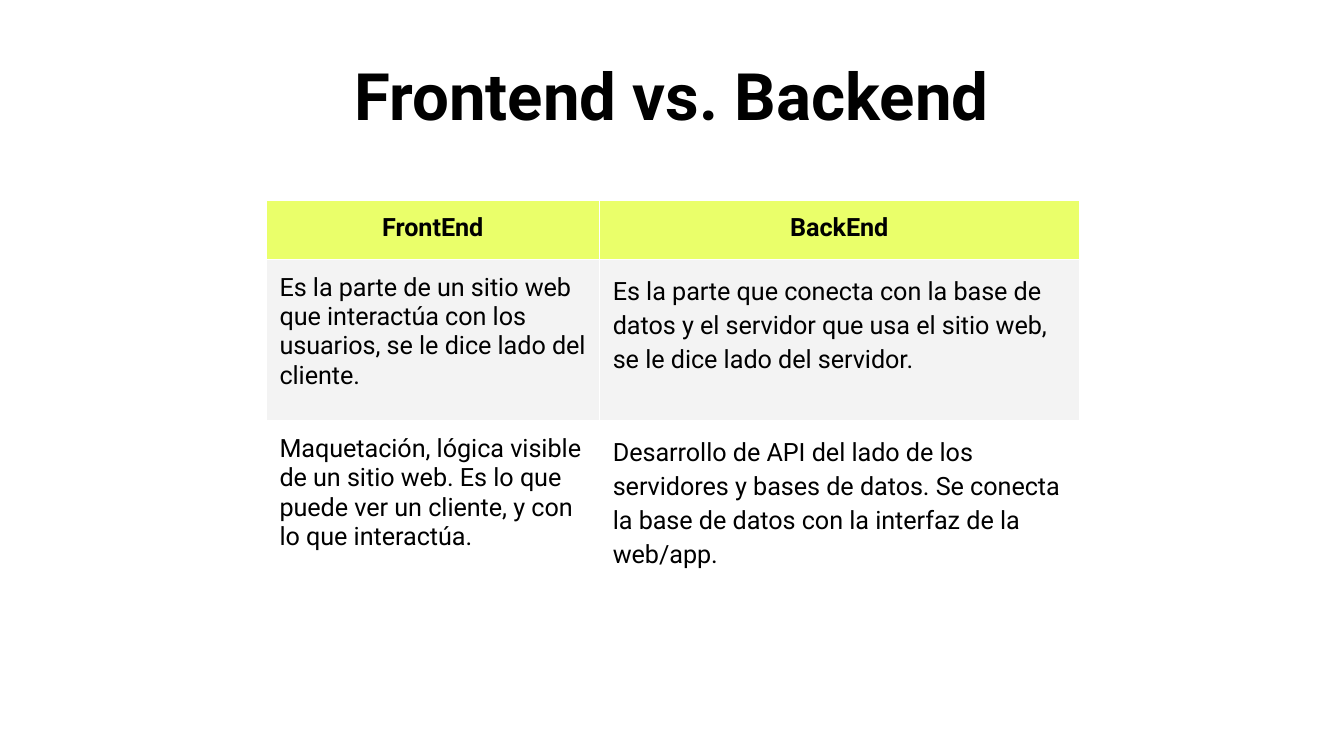
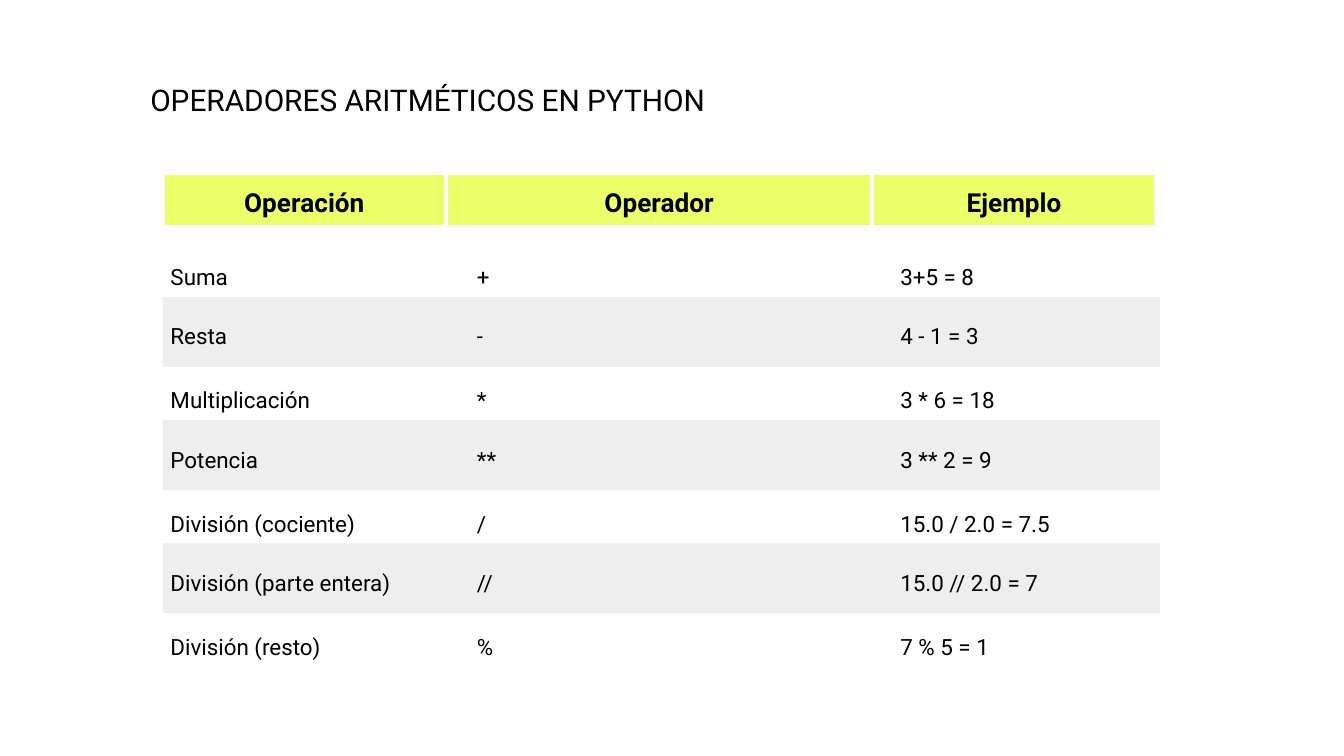
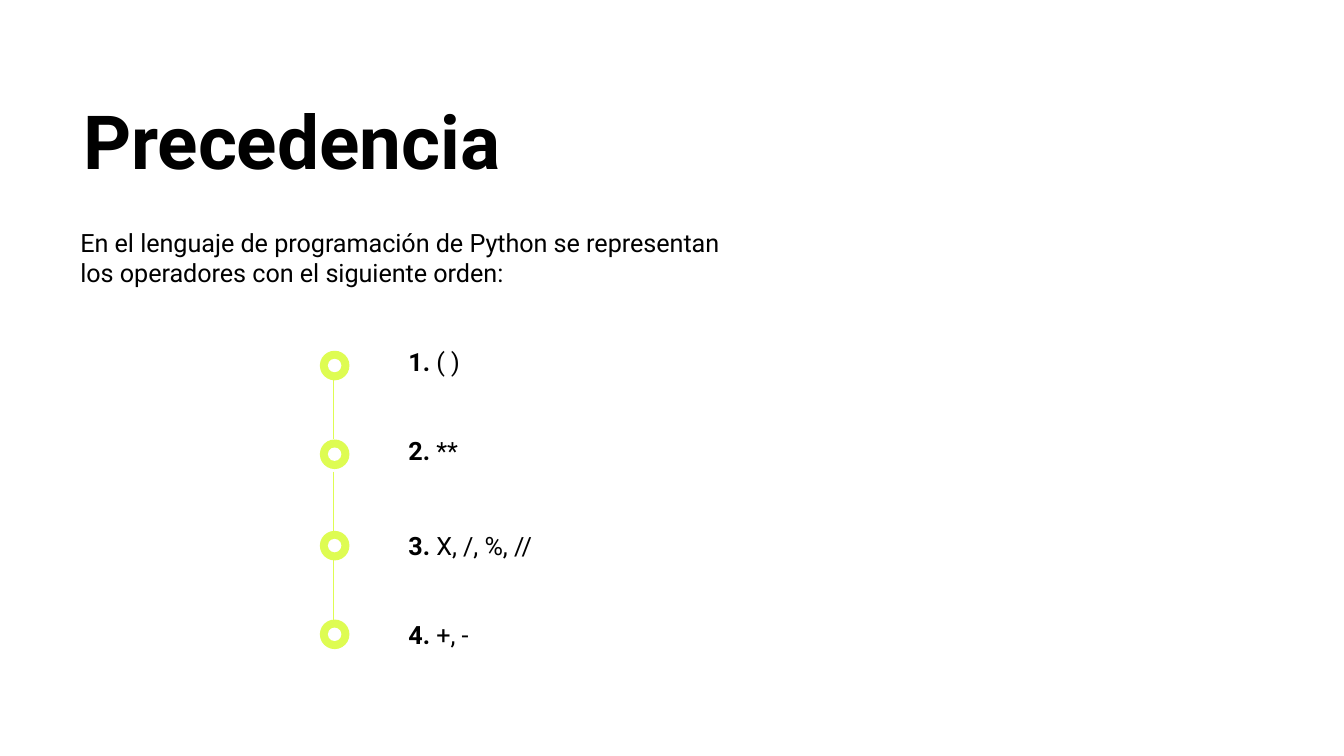
from lxml.etree import SubElement
from pptx import Presentation
from pptx.dml.color import RGBColor
from pptx.enum.shapes import MSO_CONNECTOR, MSO_SHAPE
from pptx.enum.text import MSO_ANCHOR, MSO_AUTO_SIZE, PP_ALIGN
from pptx.oxml import parse_xml
from pptx.oxml.ns import nsdecls, qn
from pptx.util import Inches, Pt

SLIDE_WIDTH = Inches(10)
SLIDE_HEIGHT = SLIDE_WIDTH * 9 // 16
FONT = "Roboto"
BLACK = RGBColor(0x00, 0x00, 0x00)
WHITE = RGBColor(0xFF, 0xFF, 0xFF)
LIME = RGBColor(0xEA, 0xFF, 0x6A)
RING_LIME = RGBColor(0xDE, 0xFC, 0x52)
ROW_GRAY = RGBColor(0xF3, 0xF3, 0xF3)
BAND_GRAY = RGBColor(0xEE, 0xEE, 0xEE)
INSET = Inches(0.1)
BODY_SIZE = 13.5

COMPARISON_TITLE = "Frontend vs. Backend"
COMPARISON = [
    ("FrontEnd", "BackEnd"),
    ("Es la parte de un sitio web que interactúa con los usuarios, se le dice lado del cliente.",
     "Es la parte que conecta con la base de datos y el servidor que usa el sitio web, "
     "se le dice lado del servidor."),
    ("Maquetación, lógica visible de un sitio web. Es lo que puede ver un cliente, "
     "y con lo que interactúa.",
     "Desarrollo de API del lado de los servidores y bases de datos. Se conecta la base de datos "
     "con la interfaz de la web/app."),
]
COMPARISON_WIDTHS = (2.48, 3.57)
COMPARISON_HEIGHTS = (0.44, 1.2, 1.59)
COMPARISON_FILLS = (LIME, ROW_GRAY, WHITE)
COLUMN_SPACING = (1.0, 1.15)

OPERATORS_TITLE = "OPERADORES ARITMÉTICOS EN PYTHON"
OPERATOR_HEADERS = [
    ("Operación", 1.21, 2.11),
    ("Operador", 3.32, 3.17),
    ("Ejemplo", 6.49, 2.11),
]
OPERATOR_COLUMNS = [(1.17, 2.11), (3.45, 1.81), (6.6, 2.11)]
OPERATORS = [
    ("Suma", "+", "3+5 = 8"),
    ("Resta", "-", "4 - 1 = 3"),
    ("Multiplicación", "*", "3 * 6 = 18"),
    ("Potencia", "**", "3 ** 2 = 9"),
    ("División (cociente)", "/", "15.0 / 2.0 = 7.5"),
    ("División (parte entera)", "//", "15.0 // 2.0 = 7"),
    ("División (resto)", "%", "7 % 5 = 1"),
]
FIRST_ROW_TOP, LAST_ROW_TOP = 1.83, 4.58
PAIR_PITCH = (LAST_ROW_TOP - FIRST_ROW_TOP) / 3
ODD_ROW_OFFSET = 0.44
BAND_LEAD = 0.06

PRECEDENCE_TITLE = "Precedencia"
PRECEDENCE_INTRO = ("En el lenguaje de programación de Python se representan los operadores "
                    "con el siguiente orden:")
PRECEDENCE = [
    ("1. ", "( )", 2.61, 2.48),
    ("2. ", "**", 3.27, 3.14),
    ("3. ", "X, /, %, //", 3.95, 3.85),
    ("4. ", "+, -", 4.61, 4.51),
]
RING_LEFT, RING_SIZE, HOLE_SIZE = 2.38, 0.22, 0.1
LINK_X, LINK_LENGTH = 2.48, 0.44


def write(frame, *runs, size=BODY_SIZE, bold=False, align=PP_ALIGN.LEFT, spacing=1.0):
    frame.word_wrap = True
    frame.vertical_anchor = MSO_ANCHOR.TOP
    frame.margin_left = frame.margin_right = INSET
    frame.margin_top = frame.margin_bottom = INSET
    paragraph = frame.paragraphs[0]
    paragraph.alignment = align
    paragraph.line_spacing = spacing
    for part in runs:
        words, run_bold = part if isinstance(part, tuple) else (part, bold)
        run = paragraph.add_run()
        run.text = words
        run.font.name = FONT
        run.font.size = Pt(size)
        run.font.bold = run_bold
        run.font.color.rgb = BLACK


def add_text(slide, box, *runs, grow=True, **style):
    frame = slide.shapes.add_textbox(*map(Inches, box)).text_frame
    write(frame, *runs, **style)
    frame.auto_size = MSO_AUTO_SIZE.SHAPE_TO_FIT_TEXT if grow else MSO_AUTO_SIZE.NONE


def add_title(slide, box, words, size, **style):
    add_text(slide, box, words, size=size, bold=True, spacing=0.9, **style)


def add_filled(shapes, preset, box, fill, outline=None):
    shape = shapes.add_shape(preset, *map(Inches, box))
    shape.shadow.inherit = False
    shape.fill.solid()
    shape.fill.fore_color.rgb = fill
    if outline is None:
        shape.line.fill.background()
    else:
        shape.line.color.rgb = outline
        shape.line.width = Pt(2.25)
    return shape


def border_cell(cell, color, width):
    properties = cell._tc.get_or_add_tcPr()
    for position, side in enumerate(("lnL", "lnR", "lnT", "lnB")):
        properties.insert(position, parse_xml(
            f'<a:{side} {nsdecls("a")} w="{Pt(width)}"><a:solidFill>'
            f'<a:srgbClr val="{color}"/></a:solidFill></a:{side}>'))


def build_comparison(slide):
    box = (1.98, 1.49, sum(COMPARISON_WIDTHS), sum(COMPARISON_HEIGHTS))
    table = slide.shapes.add_table(len(COMPARISON), len(COMPARISON_WIDTHS),
                                   *map(Inches, box)).table
    table.first_row = table.horz_banding = False
    for column, width in zip(table.columns, COMPARISON_WIDTHS):
        column.width = Inches(width)
    for r, (texts, height, fill) in enumerate(zip(COMPARISON, COMPARISON_HEIGHTS, COMPARISON_FILLS)):
        table.rows[r].height = Inches(height)
        header = r == 0
        for c, words in enumerate(texts):
            cell = table.cell(r, c)
            cell.margin_left = cell.margin_right = INSET
            cell.margin_top = cell.margin_bottom = INSET
            cell.fill.solid()
            cell.fill.fore_color.rgb = fill
            write(cell.text_frame, words, bold=header,
                  align=PP_ALIGN.CENTER if header else PP_ALIGN.LEFT,
                  spacing=1.0 if header else COLUMN_SPACING[c])
            border_cell(cell, WHITE, 0.75)
    add_title(slide, (1.6, 0.38, 6.8, 1.26), COMPARISON_TITLE, 35, align=PP_ALIGN.CENTER)


def build_operators(slide):
    add_text(slide, (1.02, 0.51, 6.66, 0.47), OPERATORS_TITLE, size=16)
    for words, left, width in OPERATOR_HEADERS:
        header = add_filled(slide.shapes, MSO_SHAPE.RECTANGLE, (left, 1.29, width, 0.4), LIME, WHITE)
        write(header.text_frame, words, size=14, bold=True, align=PP_ALIGN.CENTER)
    for index, texts in enumerate(OPERATORS):
        pair, odd = divmod(index, 2)
        top = FIRST_ROW_TOP + pair * PAIR_PITCH + odd * ODD_ROW_OFFSET
        if odd:
            add_filled(slide.shapes, MSO_SHAPE.RECTANGLE, (1.21, top - BAND_LEAD, 7.42, 0.52), BAND_GRAY)
        for words, (left, width) in zip(texts, OPERATOR_COLUMNS):
            add_text(slide, (left, top, width, 0.46), words, size=12, spacing=1.15, grow=False)


def add_ring(slide, top):
    ring = slide.shapes.add_group_shape()
    inner = (RING_SIZE - HOLE_SIZE) / 2
    for offset, size, fill in ((0, RING_SIZE, RING_LIME), (inner, HOLE_SIZE, WHITE)):
        add_filled(ring.shapes, MSO_SHAPE.OVAL, (RING_LEFT + offset, top + offset, size, size), fill)


def add_link(slide, bottom):
    link = slide.shapes.add_connector(
        MSO_CONNECTOR.STRAIGHT, *map(Inches, (LINK_X, bottom - LINK_LENGTH, LINK_X, bottom)))
    link.line.color.rgb = RING_LIME
    link.line.width = Pt(0.75)
    SubElement(link._element.spPr, qn("a:effectLst"))


def build_precedence(slide):
    add_title(slide, (0.52, 0.68, 8.9, 0.81), PRECEDENCE_TITLE, 40)
    add_text(slide, (0.5, 1.59, 5.17, 0.66), PRECEDENCE_INTRO)
    for index, (number, operators, ring_top, label_top) in enumerate(PRECEDENCE):
        add_ring(slide, ring_top)
        if index:
            add_link(slide, ring_top)
        add_text(slide, (2.94, label_top, 4.68, 0.43), (number, True), (operators, False))


def main():
    deck = Presentation()
    deck.slide_width, deck.slide_height = SLIDE_WIDTH, SLIDE_HEIGHT
    for build in (build_comparison, build_operators, build_precedence):
        slide = deck.slides.add_slide(deck.slide_layouts[6])
        slide.background.fill.solid()
        slide.background.fill.fore_color.rgb = WHITE
        build(slide)
    deck.save("out.pptx")


if __name__ == "__main__":
    main()
